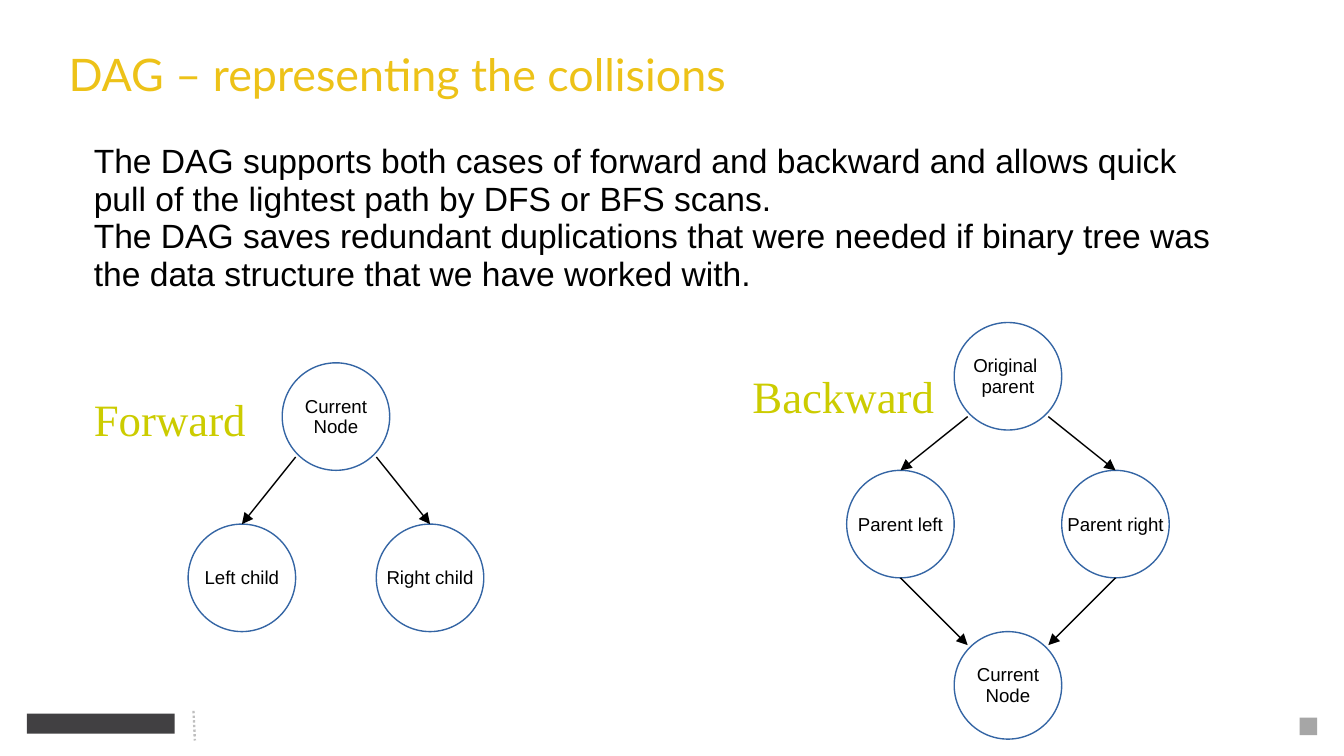
from lxml import etree
from pptx import Presentation
from pptx.dml.color import RGBColor
from pptx.enum.dml import MSO_LINE
from pptx.enum.shapes import MSO_CONNECTOR, MSO_SHAPE
from pptx.enum.text import MSO_ANCHOR, PP_ALIGN
from pptx.oxml.ns import qn
from pptx.util import Pt

PX = 9144
NODE_SIZE = 80
LINE_SPACING = 0.93
TOP_SITE = 0

RECTANGLE, OVAL = MSO_SHAPE.RECTANGLE, MSO_SHAPE.OVAL
STRAIGHT = MSO_CONNECTOR.STRAIGHT
DOTTED = MSO_LINE.ROUND_DOT
TOP, MIDDLE = MSO_ANCHOR.TOP, MSO_ANCHOR.MIDDLE
LEFT, CENTER = PP_ALIGN.LEFT, PP_ALIGN.CENTER

BLACK = RGBColor(0x00, 0x00, 0x00)
WHITE = RGBColor(0xFF, 0xFF, 0xFF)
GOLD = RGBColor(0xED, 0xC2, 0x18)
LIME = RGBColor(0xCC, 0xCC, 0x00)
BLUE = RGBColor(0x34, 0x65, 0xA4)
CHARCOAL = RGBColor(0x41, 0x40, 0x42)
GRAY = RGBColor(0xA6, 0xA6, 0xA6)
SILVER = RGBColor(0xBF, 0xBF, 0xBF)

BODY = [
    "The DAG supports both cases of forward and backward and allows quick "
    "pull of the lightest path by DFS or BFS scans.",
    "The DAG saves redundant duplications that were needed if binary tree was "
    "the data structure that we have worked with.",
]


def px(*lengths):
    """Turn pixel lengths into EMU."""
    return [length * PX for length in lengths]


def write(shape, lines, font, size, color, align=LEFT, anchor=TOP, wrap=True, top=5):
    """Fill a shape with one formatted paragraph per line."""
    frame = shape.text_frame
    frame.word_wrap = wrap
    frame.vertical_anchor = anchor
    frame.margin_left, frame.margin_top, frame.margin_right, frame.margin_bottom = px(10, top, 10, 5)
    for index, line in enumerate(lines):
        para = frame.paragraphs[0] if index == 0 else frame.add_paragraph()
        para.alignment = align
        para.line_spacing = LINE_SPACING
        para.space_before = para.space_after = Pt(0)
        span = para.add_run()
        span.text = line
        span.font.name = font
        span.font.size = Pt(size)
        span.font.color.rgb = color


def set_title(slide, text):
    """Place and format the title placeholder."""
    title = slide.shapes.title
    title.left, title.top, title.width, title.height = px(41, 30, 900, 54)
    write(title, [text], "Lato", 24, GOLD, anchor=MIDDLE)


def add_body(slide, bounds, lines):
    """Add the body text box."""
    box = slide.shapes.add_textbox(*px(*bounds))
    write(box, lines, "Arial", 18, BLACK, top=7)


def add_shape(slide, kind, bounds, fill=None, outline=None):
    """Add a preset shape with an optional fill and outline and return it."""
    shape = slide.shapes.add_shape(kind, *px(*bounds))
    shape.shadow.inherit = False
    if fill is None:
        shape.fill.background()
    else:
        shape.fill.solid()
        shape.fill.fore_color.rgb = fill
    if outline is None:
        shape.line.fill.background()
    else:
        shape.line.color.rgb = outline
        shape.line.width = Pt(0.75)
    return shape


def add_label(slide, left, top, text):
    """Add an unwrapped graph heading."""
    label = add_shape(slide, RECTANGLE, (left, top, 135, 67))
    write(label, [text], "Times New Roman", 24, LIME, anchor=MIDDLE, wrap=False)


def add_node(slide, left, top, *lines):
    """Add a circular graph node and return it."""
    node = add_shape(slide, OVAL, (left, top, NODE_SIZE, NODE_SIZE), WHITE, BLUE)
    write(node, lines, "Arial", 10, BLACK, CENTER, MIDDLE, wrap=False, top=6)
    return node


def add_line(slide, start, end, color, width):
    """Add a straight connector without a shadow and return it."""
    line = slide.shapes.add_connector(STRAIGHT, *px(*start, *end))
    line.line.color.rgb = color
    line.line.width = Pt(width)
    etree.SubElement(line._element.spPr, qn("a:effectLst"))
    return line


def add_arrow(slide, start, end, target=None):
    """Add an arrow, joined to the top of the target node if there is one."""
    arrow = add_line(slide, start, end, BLACK, 0.75)
    etree.SubElement(arrow.line._get_or_add_ln(), qn("a:tailEnd"), type="triangle")
    if target is not None:
        arrow.end_connect(target, TOP_SITE)


def add_forward_graph(slide):
    """Draw a node with its two children."""
    add_node(slide, 210, 270, "Current", "Node")
    left_child = add_node(slide, 140, 390, "Left child")
    right_child = add_node(slide, 280, 390, "Right child")
    add_label(slide, 60, 280, "Forward")
    add_arrow(slide, (280, 340), (320, 390), right_child)
    add_arrow(slide, (220, 340), (180, 390), left_child)


def add_backward_graph(slide):
    """Draw a node with its two parents and their common parent."""
    add_node(slide, 710, 470, "Current", "Node")
    left_parent = add_node(slide, 630, 350, "Parent left")
    right_parent = add_node(slide, 790, 350, "Parent right")
    add_node(slide, 710, 240, "Original ", "parent")
    add_label(slide, 550, 263, "Backward")
    for inner, outer, parent in ((720, 670, left_parent), (780, 830, right_parent)):
        add_arrow(slide, (inner, 310), (outer, 350), parent)
        add_arrow(slide, (outer, 430), (inner, 480))


def add_footer(slide):
    """Add the footer blocks and divider."""
    add_shape(slide, RECTANGLE, (967, 534, 13, 13), GRAY)
    add_shape(slide, RECTANGLE, (20, 531, 110, 15), CHARCOAL)
    divider = add_line(slide, (144, 529), (145, 551), SILVER, 1.25)
    divider.line.dash_style = DOTTED


def main():
    """Build and save the slide."""
    deck = Presentation()
    deck.slide_width, deck.slide_height = Pt(720), Pt(405)
    page = deck.slides.add_slide(deck.slide_layouts[5])
    add_footer(page)
    set_title(page, "DAG – representing the collisions")
    add_body(page, (60, 100, 860, 370), BODY)
    add_forward_graph(page)
    add_backward_graph(page)
    deck.save("out.pptx")


if __name__ == "__main__":
    main()
